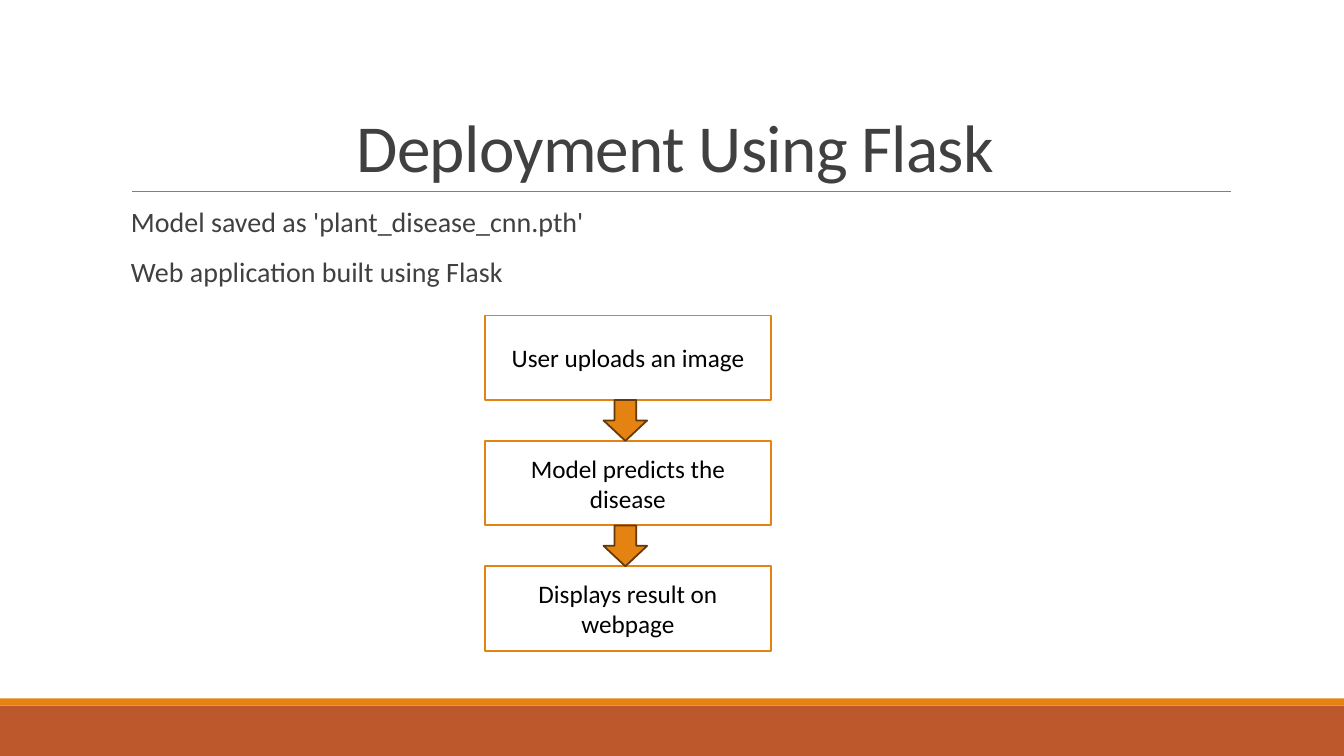
from dataclasses import dataclass

from lxml.etree import SubElement
from pptx import Presentation
from pptx.dml.color import RGBColor
from pptx.enum.shapes import MSO_CONNECTOR, MSO_SHAPE
from pptx.enum.text import MSO_ANCHOR, PP_ALIGN
from pptx.oxml.ns import qn
from pptx.util import Cm, Pt


@dataclass(frozen=True)
class Theme:
    font: str = "Calibri"
    white: str = "FFFFFF"
    black: str = "000000"
    text: str = "404040"
    rule: str = "808080"
    orange: str = "E48312"
    rust: str = "BD582C"
    brown: str = "643908"
    title: int = 48
    body: int = 20
    step: int = 18
    edge: float = 1.25


theme = Theme()


def add_block(kind, left, top, width, height, fill, line=None):
    block = slide.shapes.add_shape(kind, Cm(left), Cm(top), Cm(width), Cm(height))
    block.shadow.inherit = False
    block.fill.solid()
    block.fill.fore_color.rgb = RGBColor.from_string(fill)
    if line:
        block.line.color.rgb = RGBColor.from_string(line)
        block.line.width = Pt(theme.edge)
    else:
        block.line.fill.background()
    return block


def add_run(para, text, size, color):
    run = para.add_run()
    run.text = text
    run.font.name = theme.font
    run.font.size = Pt(size)
    run.font.color.rgb = RGBColor.from_string(color)
    return run


deck = Presentation()
deck.slide_width, deck.slide_height = Cm(33.87), Cm(19.05)
slide = deck.slides.add_slide(deck.slide_layouts[6])

# Footer bands and title rule
add_block(MSO_SHAPE.RECTANGLE, 0, 17.78, 33.87, 1.27, theme.rust)
add_block(MSO_SHAPE.RECTANGLE, 0, 17.6, 33.87, 0.18, theme.orange)
rule = slide.shapes.add_connector(
    MSO_CONNECTOR.STRAIGHT, Cm(3.33), Cm(4.83), Cm(31.01), Cm(4.83))
rule.line.color.rgb = RGBColor.from_string(theme.rule)
rule.line.width = Pt(0.5)
SubElement(rule.element.spPr, qn("a:effectLst"))

# Title
title = slide.shapes.add_textbox(Cm(3.05), Cm(0.79), Cm(27.94), Cm(4.04)).text_frame
title.word_wrap = True
title.vertical_anchor = MSO_ANCHOR.BOTTOM
para = title.paragraphs[0]
para.alignment = PP_ALIGN.CENTER
para.line_spacing = 0.85
run = add_run(para, "Deployment Using Flask", theme.title, theme.text)
run.font._element.set("spc", "-50")

# Body
body = slide.shapes.add_textbox(Cm(3.05), Cm(5.13), Cm(27.94), Cm(2.6)).text_frame
body.word_wrap = True
body.margin_left, body.margin_right = Cm(0.25), Cm(0)
facts = ["Model saved as 'plant_disease_cnn.pth'", "Web application built using Flask"]
for i, fact in enumerate(facts):
    para = body.add_paragraph() if i else body.paragraphs[0]
    para.line_spacing = 0.9
    para.space_before = Pt(12 if i else 0)
    para.space_after = Pt(2)
    add_run(para, fact, theme.body, theme.text)

# Flow of steps, with an arrow filling each gap
left, top, width, height, gap = 12.22, 7.95, 7.21, 2.13, 1.03
steps = ["User uploads an image", "Model predicts the disease", "Displays result on webpage"]
for i, step in enumerate(steps):
    y = top + i * (height + gap)
    box = add_block(MSO_SHAPE.RECTANGLE, left, y, width, height, theme.white, theme.orange)
    frame = box.text_frame
    frame.word_wrap = True
    frame.vertical_anchor = MSO_ANCHOR.MIDDLE
    para = frame.paragraphs[0]
    para.alignment = PP_ALIGN.CENTER
    add_run(para, step, theme.step, theme.black)
for i in range(len(steps) - 1):
    y = top + height + i * (height + gap)
    add_block(MSO_SHAPE.DOWN_ARROW, 15.21, y, 1.1, gap, theme.orange, theme.brown)

deck.save("out.pptx")
